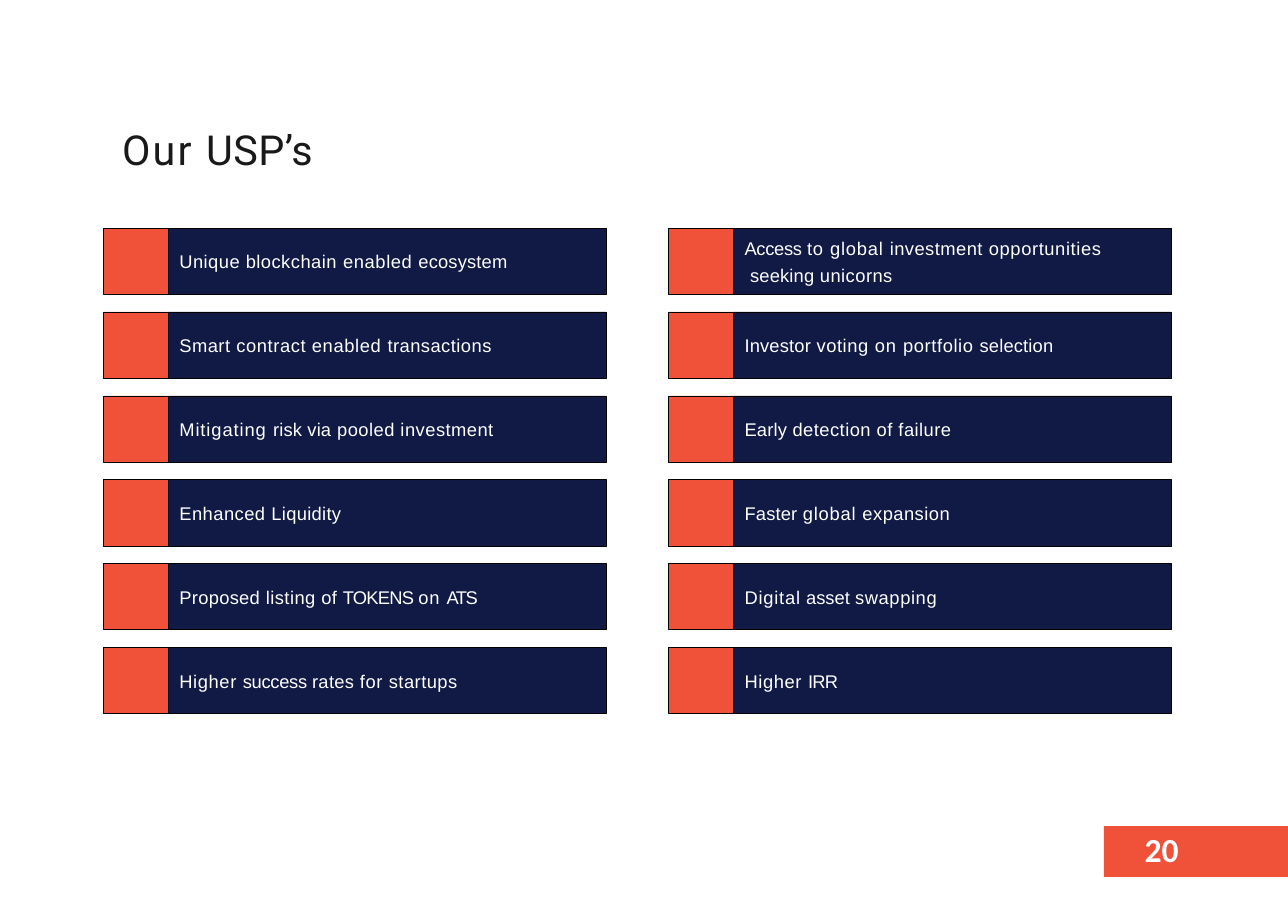
import pptx
import pptx.util
import pptx.dml.color
import pptx.enum.shapes
import pptx.enum.text

Inches = pptx.util.Inches
Pt = pptx.util.Pt
NAVY, ORANGE, BLACK, WHITE, CHARCOAL = "111A44", "F05139", "000000", "FFFFFF", "191919"

presentation = pptx.Presentation()
presentation.slide_width = Inches(11.69)
presentation.slide_height = Inches(8.26)
slide = presentation.slides.add_slide(presentation.slide_layouts[6])


def add_block(left, top, width, height, fill, outline):
    shape = slide.shapes.add_shape(
        pptx.enum.shapes.MSO_SHAPE.RECTANGLE,
        Inches(left), Inches(top), Inches(width), Inches(height))
    shape.shadow.inherit = False
    shape.fill.solid()
    shape.fill.fore_color.rgb = pptx.dml.color.RGBColor.from_string(fill)
    shape.line.color.rgb = pptx.dml.color.RGBColor.from_string(outline)
    shape.line.width = Pt(0.5)
    return shape


def write_text(shape, pieces, size=12, font="Arial", color=WHITE, bold=False,
               insets=(0.1, 0.2, 0, 0), line_spacing=1.0, hanging=0):
    frame = shape.text_frame
    frame.word_wrap = True
    frame.vertical_anchor = pptx.enum.text.MSO_ANCHOR.TOP
    frame.margin_left, frame.margin_top, frame.margin_right, frame.margin_bottom = map(Inches, insets)
    paragraph = frame.paragraphs[0]
    paragraph.alignment = pptx.enum.text.PP_ALIGN.LEFT
    paragraph.line_spacing = line_spacing
    if hanging:
        properties = paragraph._p.get_or_add_pPr()
        properties.set("marL", str(Inches(hanging)))
        properties.set("indent", str(-Inches(hanging)))
    for text, tracking in pieces:
        run = paragraph.add_run()
        run.text = text
        run.font.size = Pt(size)
        run.font.name = font
        run.font.bold = bold
        run.font.color.rgb = pptx.dml.color.RGBColor.from_string(color)
        run._r.get_or_add_rPr().set("spc", str(round(tracking * 100)))


selling_points = [
    [
        [("Unique blockchain ", 0.3), ("enabled ", 0.4), ("ecosystem", 0.1)],
        [("Smart ", 0.3), ("contract enabled ", 0.4), ("transactions", 0.3)],
        [("Mitigating ", 0.6), ("risk via", 0.1), (" pooled investment", 0.3)],
        [("Enhanced ", 0.3), ("Liquidity", 0.2)],
        [("Proposed ", 0.2), ("listing", 0.3), (" of ", 0.2), ("TOKENS ", -0.5), ("on ", 0.6), ("ATS", -1)],
        [("Higher ", 0.4), ("success ", -0.2), ("rates ", 0.2), ("for ", 0.4), ("startups", 0.3)],
    ],
    [
        [("Access ", -0.2), ("to ", 0.6), ("global ", 0.5), ("investment ", 0.3),
         ("opportunities ", 0.4), ("seeking ", 0.1), ("unicorns", 0.3)],
        [("Investor ", 0.1), ("voting ", 0.4), ("on ", 0.6), ("portfolio ", 0.4), ("selection", 0.1)],
        [("Early ", 0.1), ("detection of failure", 0.3)],
        [("Faster ", 0.1), ("global ", 0.5), ("expansion", 0.3)],
        [("Digital", 0.5), (" asset ", 0), ("swapping", 0.4)],
        [("Higher ", 0.4), ("IRR", -0.5)],
    ],
]

grid_left, grid_top = 0.94, 2.07
column_step, row_step = 5.13, 0.762
marker_width, bar_width, bar_height = 0.59, 3.97, 0.6
two_line_format = {"insets": (0.1, 0.04, 0.5, 0), "line_spacing": 1.23, "hanging": 0.05}

for column, points in enumerate(selling_points):
    for row, pieces in enumerate(points):
        left = grid_left + column * column_step
        top = grid_top + row * row_step
        bar = add_block(left + marker_width, top, bar_width, bar_height, NAVY, BLACK)
        add_block(left, top, marker_width, bar_height, ORANGE, BLACK)
        wraps = (column, row) == (1, 0)
        write_text(bar, pieces, **(two_line_format if wraps else {}))

title = slide.shapes.add_textbox(Inches(1.1), Inches(1.11), Inches(2.2), Inches(0.48))
write_text(title, [("Our ", 1.4), ("USP’s", 0.3)], size=27, font="Roboto",
           color=CHARCOAL, insets=(0.01, 0.02, 0, 0))

add_block(10.02, 7.5, 1.67, 0.46, ORANGE, ORANGE)
page_number = slide.shapes.add_textbox(Inches(10.35), Inches(7.52), Inches(0.6), Inches(0.4))
write_text(page_number, [("20", 0)], size=22, font="Calibri", bold=True, insets=(0.04, 0, 0, 0))

presentation.save("out.pptx")
